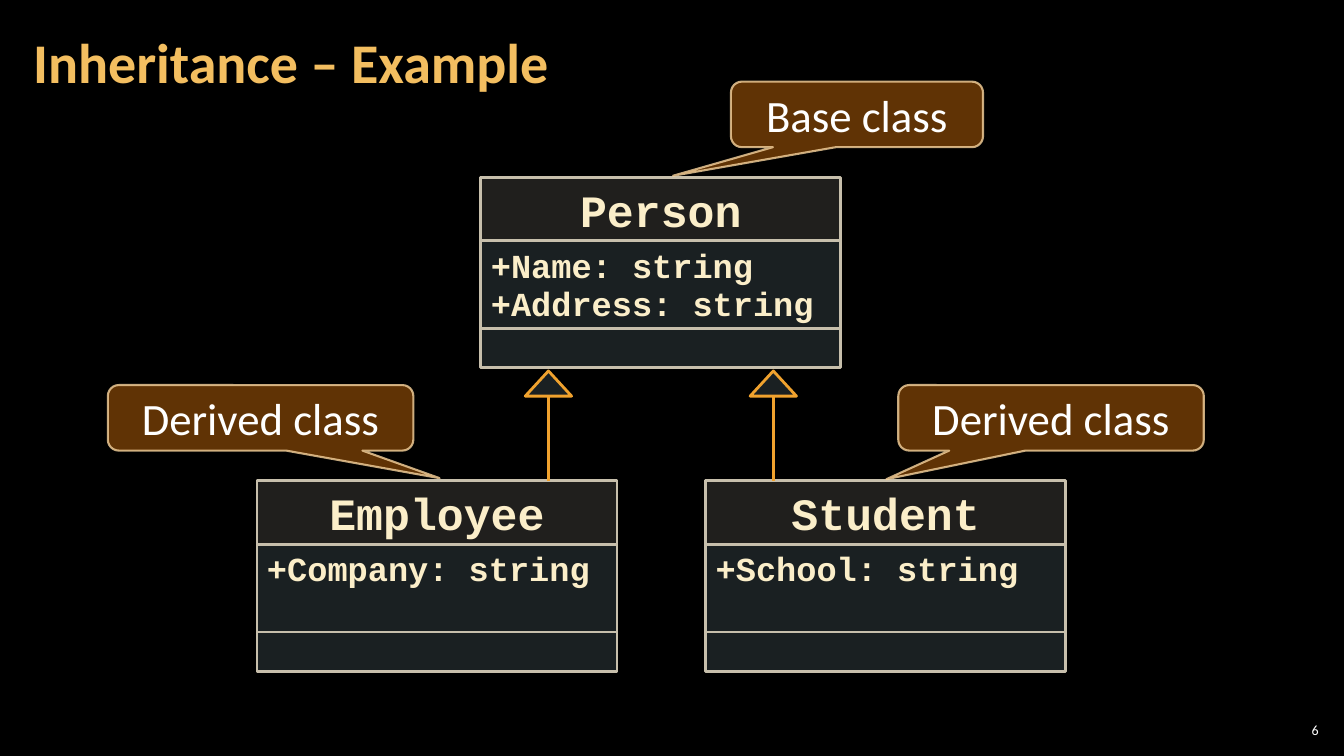
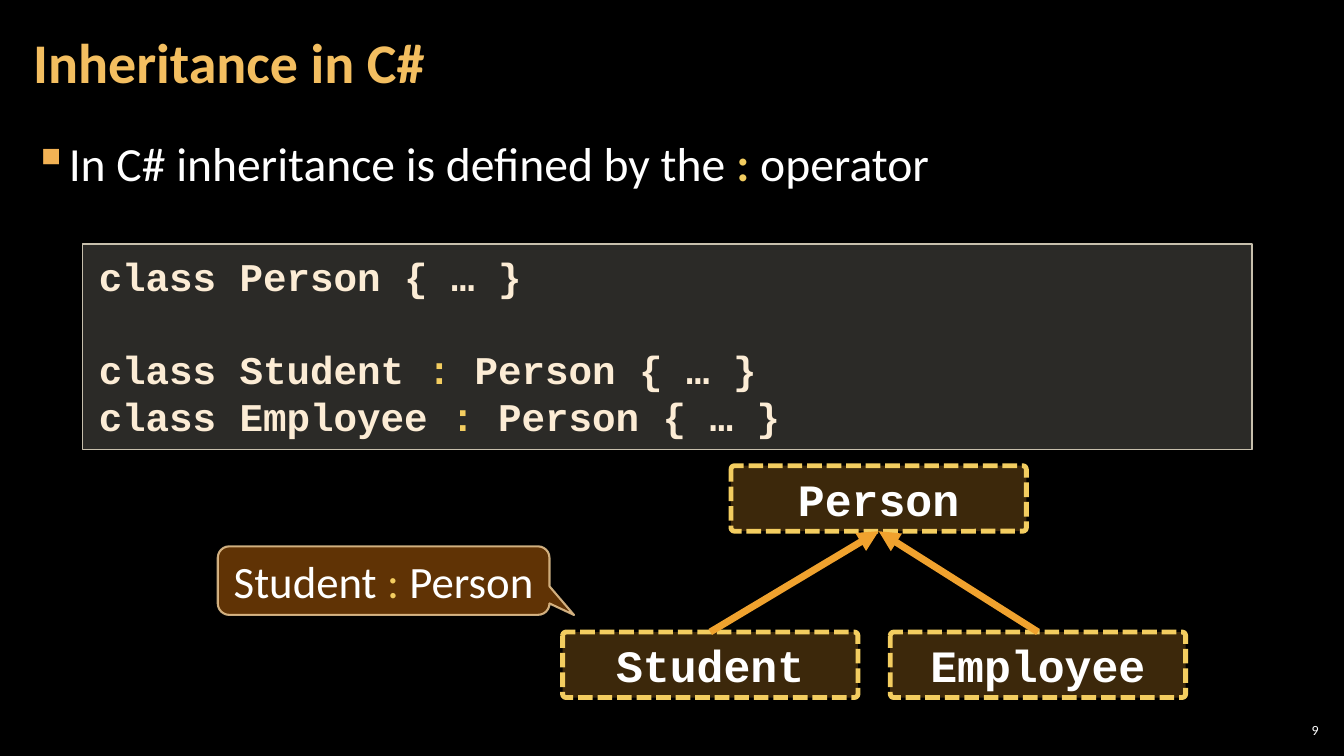
"""Build two slides on inheritance: a class diagram and its C# syntax."""
from lxml.etree import SubElement
from pptx import Presentation
from pptx.dml.color import RGBColor
from pptx.enum.dml import MSO_LINE
from pptx.enum.shapes import MSO_CONNECTOR, MSO_SHAPE
from pptx.enum.text import MSO_ANCHOR, PP_ALIGN
from pptx.oxml.ns import qn
from pptx.util import Inches, Pt

BLACK = RGBColor(0x00, 0x00, 0x00)
WHITE = RGBColor(0xFF, 0xFF, 0xFF)
TITLE = RGBColor(0xF3, 0xBE, 0x60)
ACCENT = RGBColor(0xF3, 0xCD, 0x60)
ORANGE = RGBColor(0xF0, 0xA2, 0x2E)
CREAM = RGBColor(0xFB, 0xEE, 0xC9)
CODE = RGBColor(0xFC, 0xEC, 0xD5)
FRAME = RGBColor(0xC7, 0xBF, 0xAC)
STONE = RGBColor(0xD9, 0xD5, 0xC7)
ICE = RGBColor(0xB5, 0xDB, 0xE5)
BROWN = RGBColor(0x66, 0x36, 0x06)
SAND = RGBColor(0xF8, 0xD4, 0x9E)
BULLET = "F2B254"
SANS, MONO = "Calibri", "Courier New"

CLASSES = [
    ("Person", ["+Name: string", "+Address: string"], 4.77, 1.76),
    ("Employee", ["+Company: string"], 2.55, 4.77),
    ("Student", ["+School: string"], 7, 4.77),
]
CLASS_W, HEAD_H, FIELDS_H, METHODS_H = 3.57, 0.63, 0.87, 0.39
ARROW_XS = [5.44, 7.67]
ARROW_TOP, ARROW_BASE, ARROW_END, ARROW_W = 3.68, 3.93, 4.77, 0.46
CLASS_CALLOUTS = [
    ("Derived class", (1.07, 3.82, 3.03, 0.65), (0.586, 0.921)),
    ("Derived class", (8.91, 3.82, 3.03, 0.65), (-0.539, 0.937)),
    ("Base class", (7.25, 0.81, 2.5, 0.65), (-0.73, 0.937)),
]

STATEMENT = ["In C# inheritance is defined by the ", ":", " operator"]
CODE_LINES = [
    ["class Person { … }"],
    ["class Student ", ": ", "Person { … }"],
    ["class Employee ", ": ", "Person { … }"],
]
NODES = {"Person": (7.25, 4.62), "Employee": (8.83, 6.27), "Student": (5.58, 6.27)}
NODE_W, NODE_H = 2.93, 0.65
SYNTAX_CALLOUT = (["Student ", ":", " Person"], (2.16, 5.42, 3.29, 0.68), (0.574, 0.502))


def write(shape, paras, size=32, font=SANS, color=WHITE, bold=False, accent_bold=None,
          align=PP_ALIGN.LEFT, anchor=MSO_ANCHOR.MIDDLE, inset=(0.1, 0.05), spacing=None):
    """Fill a shape with paragraphs of runs; a lone colon takes the accent colour."""
    tf = shape.text_frame
    tf.word_wrap = True
    tf.vertical_anchor = anchor
    tf.margin_left = tf.margin_right = Inches(inset[0])
    tf.margin_top = tf.margin_bottom = Inches(inset[1])
    for i, runs in enumerate(paras):
        p = tf.add_paragraph() if i else tf.paragraphs[0]
        p.alignment = align
        if spacing:
            p.line_spacing = spacing
        for text in runs:
            accent = text.strip() == ":"
            r = p.add_run()
            r.text = text
            r.font.name, r.font.size = font, Pt(size)
            r.font.bold = accent_bold if accent and accent_bold is not None else bold
            r.font.color.rgb = ACCENT if accent else color
    return tf


def set_alpha(shape, query, percent):
    """Set the opacity of the colour that the query finds."""
    for clr in shape.element.spPr.xpath(query):
        SubElement(clr, qn("a:alpha")).set("val", str(percent * 1000))


def add_box(s, kind, box, fill, opacity, line, width, adj=()):
    """Add an outlined preset shape with a translucent fill."""
    sp = s.shapes.add_shape(kind, *map(Inches, box))
    sp.shadow.inherit = False
    sp.fill.solid()
    sp.fill.fore_color.rgb = fill
    set_alpha(sp, "./a:solidFill/a:srgbClr", opacity)
    sp.line.color.rgb = line
    sp.line.width = Pt(width)
    for i, value in enumerate(adj):
        sp.adjustments[i] = value
    return sp


def add_textbox(s, box, paras, **fmt):
    """Add a formatted text box."""
    return write(s.shapes.add_textbox(*map(Inches, box)), paras, **fmt)


def add_callout(s, runs, box, tip):
    """Add a brown speech bubble whose tip is relative to its centre."""
    sp = add_box(s, MSO_SHAPE.ROUNDED_RECTANGULAR_CALLOUT, box, BROWN, 95, SAND, 1.5,
                 (*tip, 0.167))
    set_alpha(sp, "./a:ln/a:solidFill/a:srgbClr", 80)
    write(sp, [runs], align=PP_ALIGN.CENTER)


def add_line(s, width, start=(0, 0), end=(0, 0)):
    """Add a straight orange connector."""
    cx = s.shapes.add_connector(MSO_CONNECTOR.STRAIGHT, *map(Inches, (*start, *end)))
    cx.line.color.rgb = ORANGE
    cx.line.width = Pt(width)
    SubElement(cx.element.spPr, qn("a:effectLst"))
    return cx


def add_slide(prs, title, number):
    """Add a black slide with its title and page number."""
    s = prs.slides.add_slide(prs.slide_layouts[6])
    s.background.fill.solid()
    s.background.fill.fore_color.rgb = BLACK
    add_textbox(s, (0.21, 0.04, 10.47, 1.21), [[title]], size=40, color=TITLE, bold=True,
                inset=(0.12, 0.04), spacing=0.9)
    add_textbox(s, (12.65, 7.14, 0.47, 0.21), [[number]], size=10,
                align=PP_ALIGN.RIGHT, inset=(0.04, 0.04))
    return s


def add_class(s, name, fields, x, y):
    """Add a UML class of three stacked compartments."""
    parts = []
    for height, fill in ((HEAD_H, STONE), (FIELDS_H, ICE), (METHODS_H, ICE)):
        parts.append(add_box(s, MSO_SHAPE.RECTANGLE, (x, y, CLASS_W, height),
                             fill, 15, FRAME, 2))
        y += height
    write(parts[0], [[name]], font=MONO, color=CREAM, bold=True, align=PP_ALIGN.CENTER)
    write(parts[1], [[f] for f in fields], size=24, font=MONO, color=CREAM, bold=True,
          anchor=MSO_ANCHOR.TOP, inset=(0.1, 0.07), spacing=0.95)


def build_example(prs):
    """Build the class diagram slide."""
    s = add_slide(prs, "Inheritance – Example", "6")
    for item in CLASSES:
        add_class(s, *item)
    for x in ARROW_XS:
        add_line(s, 2, (x, ARROW_BASE), (x, ARROW_END))
        add_box(s, MSO_SHAPE.ISOSCELES_TRIANGLE,
                (x - ARROW_W / 2, ARROW_TOP, ARROW_W, ARROW_BASE - ARROW_TOP),
                ICE, 15, ORANGE, 2)
    for text, box, tip in CLASS_CALLOUTS:
        add_callout(s, [text], box, tip)


def build_syntax(prs):
    """Build the C# syntax slide."""
    s = add_slide(prs, "Inheritance in C#", "9")
    tf = add_textbox(s, (0.21, 1.26, 12.91, 0.9), [STATEMENT], size=34, accent_bold=True,
                     anchor=MSO_ANCHOR.TOP, inset=(0.12, 0.04), spacing=1.05)
    p = tf.paragraphs[0]
    p.space_before = p.space_after = Pt(6)
    pPr = p._p.get_or_add_pPr()
    pPr.set("marL", str(Inches(0.33)))
    pPr.set("indent", str(-Inches(0.33)))
    SubElement(SubElement(pPr, qn("a:buClr")), qn("a:srgbClr")).set("val", BULLET)
    SubElement(pPr, qn("a:buChar")).set("char", "▪")

    panel = add_box(s, MSO_SHAPE.RECTANGLE, (0.82, 2.42, 11.6, 2.04), STONE, 20, FRAME, 1)
    tf = write(panel, CODE_LINES, size=28, font=MONO, color=CODE, bold=True,
               anchor=MSO_ANCHOR.TOP, inset=(0.16, 0.08))
    tf.paragraphs[1].space_before = Pt(33)

    nodes = {}
    for name, (x, y) in NODES.items():
        sp = add_box(s, MSO_SHAPE.ROUNDED_RECTANGLE, (x, y, NODE_W, NODE_H),
                     ORANGE, 25, ACCENT, 3.5, (0.054,))
        sp.line.dash_style = MSO_LINE.SQUARE_DOT
        write(sp, [[name]], font=MONO, bold=True, align=PP_ALIGN.CENTER,
              anchor=MSO_ANCHOR.TOP)
        nodes[name] = sp
    for child in ("Employee", "Student"):
        cx = add_line(s, 5)
        cx.begin_connect(nodes[child], 0)
        cx.end_connect(nodes["Person"], 2)
        ln = cx.element.spPr.find(qn("a:ln"))
        SubElement(ln, qn("a:tailEnd")).set("type", "triangle")
    add_callout(s, *SYNTAX_CALLOUT)


def main():
    """Save the presentation."""
    prs = Presentation()
    prs.slide_width, prs.slide_height = Inches(13.33), Inches(7.5)
    build_example(prs)
    build_syntax(prs)
    prs.save("out.pptx")


if __name__ == "__main__":
    main()
